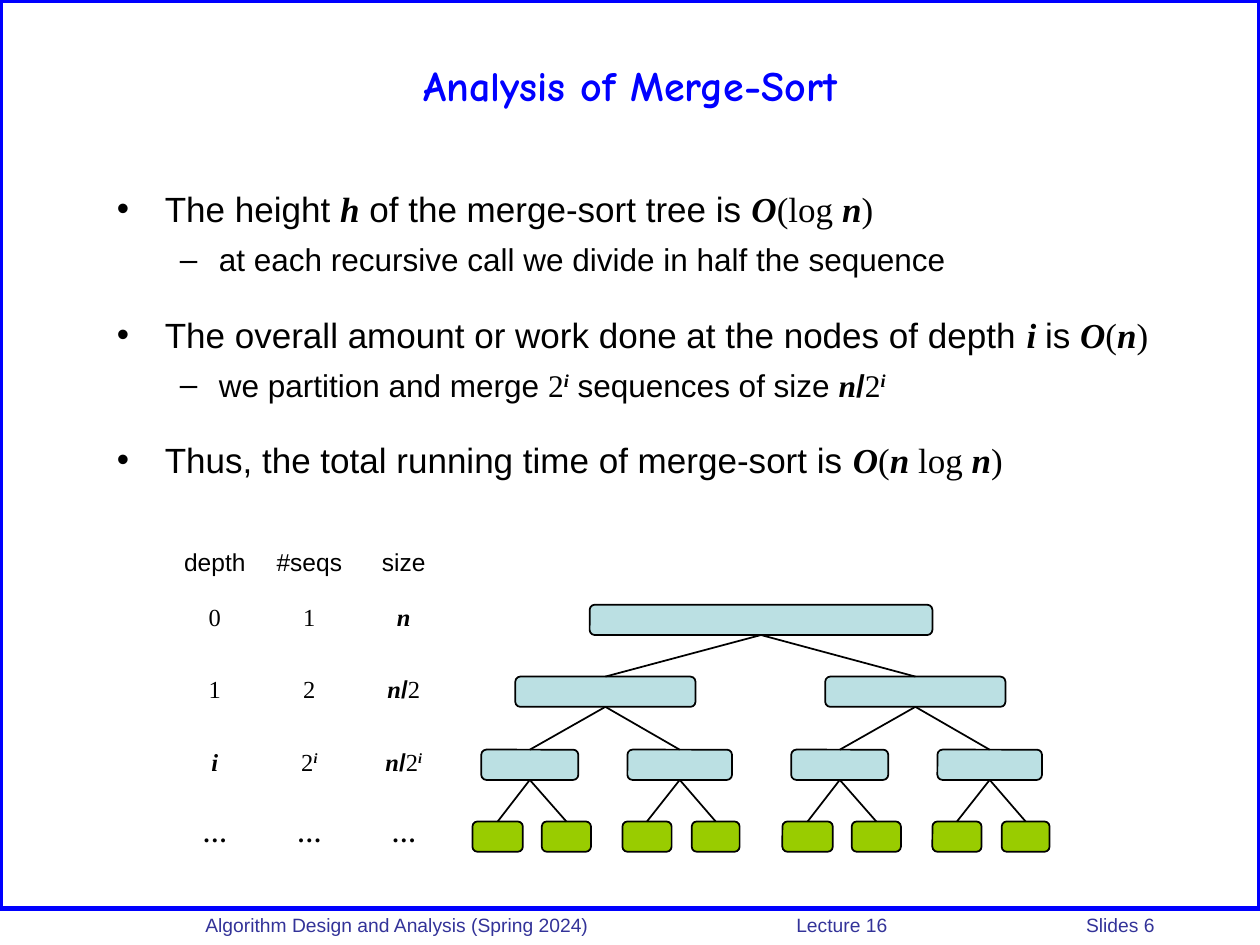
import dataclasses

import pptx
import pptx.dml.color
import pptx.enum.shapes
import pptx.enum.text
import pptx.oxml.ns
import pptx.util
from lxml import etree

Inches = pptx.util.Inches
Pt = pptx.util.Pt
SHAPE = pptx.enum.shapes.MSO_SHAPE
ALIGN = pptx.enum.text.PP_ALIGN
MIDDLE = pptx.enum.text.MSO_ANCHOR.MIDDLE
qn = pptx.oxml.ns.qn


@dataclasses.dataclass(frozen=True)
class Theme:
    blue: str = "0000FF"
    footer: str = "333399"
    black: str = "000000"
    node: str = "BBE0E3"
    leaf: str = "99CC00"
    sans: str = "Arial"
    serif: str = "Times New Roman"
    display: str = "Comic Neue"
    title_size: int = 24
    bullet_size: int = 20
    sub_size: int = 18
    table_size: int = 14
    footer_size: int = 11


THEME = Theme()
STYLES = {
    "text": {"name": THEME.sans},
    "math": {"name": THEME.serif},
    "dots": {"name": THEME.serif, "bold": True},
    "var": {"name": THEME.serif, "bold": True, "italic": True},
    "sup": {"name": THEME.serif, "bold": True, "italic": True},
    "slash": {"name": THEME.sans, "bold": True},
    "title": {"name": THEME.display, "bold": True},
}
TWO_TO_I = [("2", "math"), ("i", "sup")]
HALF = [("n", "var"), ("/", "slash")]
ORDER_N = [("O", "var"), ("(", "math"), ("n", "var"), (")", "math")]

BULLETS = [
    (0, [("The height ", "text"), ("h", "var"), (" of the merge-sort tree is ", "text"),
         ("O", "var"), ("(log ", "math"), ("n", "var"), (")", "math")]),
    (1, [("at each recursive call we divide in half the sequence", "text")]),
    (0, [("The overall amount or work done at the nodes of depth ", "text"),
         ("i ", "var"), ("is ", "text"), *ORDER_N]),
    (1, [("we partition and merge ", "text"), *TWO_TO_I,
         (" sequences of size ", "text"), *HALF, *TWO_TO_I]),
    (0, [("Thus, the total running time of merge-sort is ", "text"), ("O", "var"),
         ("(", "math"), ("n", "var"), (" log ", "math"), ("n", "var"), (")", "math")]),
]
LEVELS = [
    {"char": "•", "left": 0.38, "hang": 0.38, "size": THEME.bullet_size, "before": 20},
    {"char": "–", "left": 0.81, "hang": 0.31, "size": THEME.sub_size, "before": 6},
]
COST_ROWS = [
    [[("depth", "text")], [("#seqs", "text")], [("size", "text")]],
    [[("0", "math")], [("1", "math")], [("n", "var")]],
    [[("1", "math")], [("2", "math")], [*HALF, ("2", "math")]],
    [[("i", "var")], TWO_TO_I, [*HALF, *TWO_TO_I]],
    [[("…", "dots")]] * 3,
]
ROW_HEIGHTS = [0.31, 0.57, 0.58, 0.57, 0.57]

NODE_HEIGHT = 0.24
HALF_TREE_SHIFT = 2.46
ROOT = (4.68, 2.72)
HALF_TREE = [
    (5.37, THEME.node, [(4.09, 1.43)]),
    (5.95, THEME.node, [(3.82, 0.77), (4.98, 0.83)]),
    (6.52, THEME.leaf, [(3.75, 0.4), (4.3, 0.39), (4.94, 0.39), (5.49, 0.38)]),
]


def rgb(color):
    return pptx.dml.color.RGBColor.from_string(color)


def set_attrs(obj, values):
    for name, value in values.items():
        setattr(obj, name, value)


def add_runs(p, runs, size, color=THEME.black):
    for text, style in runs:
        r = p.add_run()
        r.text = text
        set_attrs(r.font, {"size": Pt(size), "bold": False, "italic": False, **STYLES[style]})
        r.font.color.rgb = rgb(color)
        if style == "sup":
            r.font._element.set("baseline", "30000")


def add_bullet(p, level):
    pPr = p._p.get_or_add_pPr()
    pPr.set("marL", str(Inches(level["left"])))
    pPr.set("indent", str(-Inches(level["hang"])))
    clr = etree.SubElement(pPr, qn("a:buClr"))
    etree.SubElement(clr, qn("a:srgbClr"), val=THEME.black)
    etree.SubElement(pPr, qn("a:buFont"), typeface=THEME.sans)
    etree.SubElement(pPr, qn("a:buChar"), char=level["char"])


def add_frame(slide):
    sp = slide.shapes.add_shape(SHAPE.RECTANGLE, 0, 0, Inches(10), Inches(7.21))
    sp.shadow.inherit = False
    sp.fill.background()
    sp.line.color.rgb = rgb(THEME.blue)
    sp.line.width = Pt(3)


def add_footer(slide):
    box = slide.shapes.add_textbox(Inches(1.33), Inches(7.2), Inches(8.67), Inches(0.26))
    set_attrs(box.text_frame, {"word_wrap": True, "margin_left": Inches(0.3)})
    p = box.text_frame.paragraphs[0]
    tabs = etree.SubElement(p._p.get_or_add_pPr(), qn("a:tabLst"))
    for pos in (4.69, 6.99):
        etree.SubElement(tabs, qn("a:tab"), pos=str(Inches(pos)), algn="l")
    text = "Algorithm Design and Analysis (Spring 2024)\tLecture 16\tSlides 6"
    add_runs(p, [(text, "text")], THEME.footer_size, THEME.footer)


def set_title(slide, text):
    sp = slide.shapes.title
    set_attrs(sp, {"left": Inches(0.5), "top": Inches(0.17),
                   "width": Inches(9), "height": Inches(1)})
    sp.text_frame.vertical_anchor = MIDDLE
    p = sp.text_frame.paragraphs[0]
    p.alignment = ALIGN.CENTER
    add_runs(p, [(text, "title")], THEME.title_size, THEME.blue)


def add_body(slide):
    box = slide.shapes.add_textbox(Inches(0.83), Inches(1.42), Inches(8.67), Inches(2.75))
    tf = box.text_frame
    set_attrs(tf, {"word_wrap": True, "margin_top": Inches(0.07)})
    for i, (depth, runs) in enumerate(BULLETS):
        p = tf.add_paragraph() if i else tf.paragraphs[0]
        level = LEVELS[depth]
        add_bullet(p, level)
        set_attrs(p, {"level": depth, "space_before": Pt(level["before"] if i else 0)})
        add_runs(p, runs, level["size"])


def add_node(slide, left, top, width, color):
    sp = slide.shapes.add_shape(SHAPE.ROUNDED_RECTANGLE, Inches(left), Inches(top),
                                Inches(width), Inches(NODE_HEIGHT))
    sp.shadow.inherit = False
    sp.fill.solid()
    sp.fill.fore_color.rgb = rgb(color)
    sp.line.color.rgb = rgb(THEME.black)
    sp.line.width = Pt(1)
    return sp


def add_edge(slide, parent, child):
    cxn = slide.shapes.add_connector(pptx.enum.shapes.MSO_CONNECTOR.STRAIGHT, 0, 0, 0, 0)
    cxn.begin_connect(parent, 2)
    cxn.end_connect(child, 0)
    cxn.line.color.rgb = rgb(THEME.black)
    cxn.line.width = Pt(1)
    etree.SubElement(cxn._element.spPr, qn("a:effectLst"))


def add_tree(slide):
    parents = [add_node(slide, ROOT[0], 4.8, ROOT[1], THEME.node)]
    for top, color, spans in HALF_TREE:
        nodes = [add_node(slide, left + shift, top, width, color)
                 for shift in (0, HALF_TREE_SHIFT) for left, width in spans]
        for i, node in enumerate(nodes):
            add_edge(slide, parents[i // 2], node)
        parents = nodes


def add_cost_table(slide):
    table = slide.shapes.add_table(len(COST_ROWS), 3, Inches(1.33), Inches(4.31),
                                   Inches(2.25), Inches(2.6)).table
    set_attrs(table, {"first_row": False, "horz_banding": False})
    for col in table.columns:
        col.width = Inches(0.75)
    for row, height, contents in zip(table.rows, ROW_HEIGHTS, COST_ROWS):
        row.height = Inches(height)
        for cell, runs in zip(row.cells, contents):
            cell.fill.background()
            set_attrs(cell, {"vertical_anchor": MIDDLE, "margin_top": Inches(0.03),
                             "margin_bottom": Inches(0.03)})
            p = cell.text_frame.paragraphs[0]
            p.alignment = ALIGN.CENTER
            add_runs(p, runs, THEME.table_size)


def main():
    prs = pptx.Presentation()
    set_attrs(prs, {"slide_width": Inches(10), "slide_height": Inches(7.5)})
    slide = prs.slides.add_slide(prs.slide_layouts[5])
    add_frame(slide)
    add_footer(slide)
    set_title(slide, "Analysis of Merge-Sort")
    add_body(slide)
    add_tree(slide)
    add_cost_table(slide)
    prs.save("out.pptx")


if __name__ == "__main__":
    main()
